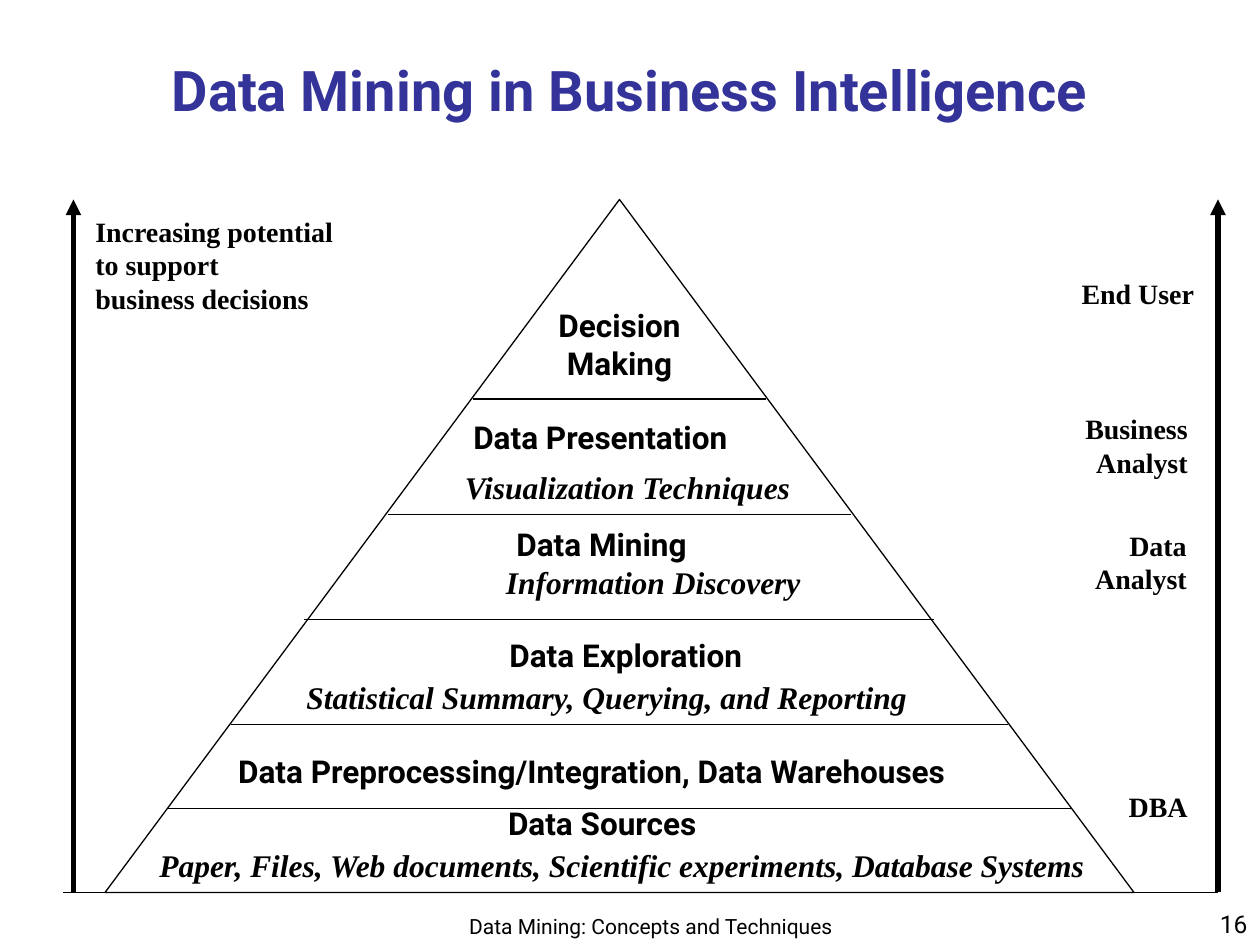
from dataclasses import dataclass

from lxml import etree
from pptx import Presentation
from pptx.dml.color import RGBColor
from pptx.enum.shapes import MSO_CONNECTOR, MSO_SHAPE
from pptx.enum.text import MSO_ANCHOR, MSO_AUTO_SIZE, PP_ALIGN
from pptx.oxml.ns import qn
from pptx.util import Inches, Pt

LEFT, CENTER, RIGHT = PP_ALIGN.LEFT, PP_ALIGN.CENTER, PP_ALIGN.RIGHT
TOP, MIDDLE, BOTTOM = MSO_ANCHOR.TOP, MSO_ANCHOR.MIDDLE, MSO_ANCHOR.BOTTOM
STRAIGHT = MSO_CONNECTOR.STRAIGHT
TRIANGLE = MSO_SHAPE.FLOWCHART_EXTRACT

COLUMNS, ROWS = 120, 90  # twelve grid units to the inch


@dataclass(frozen=True)
class TextStyle:
    font: str
    size: float
    bold: bool = True
    italic: bool = False
    color: str = "000000"


class Theme:
    line_color = "000000"
    thin, thick = 0.75, 3
    title = TextStyle("Roboto", 32, color="333399")
    layer = TextStyle("Roboto", 18)
    detail = TextStyle("Times New Roman", 18, italic=True)
    side = TextStyle("Times New Roman", 16)
    footer = TextStyle("Roboto", 12, bold=False)
    number = TextStyle("Roboto", 14, bold=False)


class SlideBuilder:
    def __init__(self, presentation, theme):
        self.theme = theme
        self.slide = presentation.slides.add_slide(presentation.slide_layouts[6])
        self.column = presentation.slide_width / COLUMNS
        self.row = presentation.slide_height / ROWS

    def place(self, x, y):
        """Turn grid columns and rows into slide lengths."""
        return round(x * self.column), round(y * self.row)

    def draw_line(self, line, width):
        line.color.rgb = RGBColor.from_string(self.theme.line_color)
        line.width = Pt(width)

    def triangle(self, left, top, width, height):
        shape = self.slide.shapes.add_shape(
            TRIANGLE, *self.place(left, top), *self.place(width, height))
        shape.shadow.inherit = False
        shape.fill.background()
        self.draw_line(shape.line, self.theme.thin)

    def line(self, start, end, width=Theme.thin, arrow=False):
        connector = self.slide.shapes.add_connector(
            STRAIGHT, *self.place(*start), *self.place(*end))
        self.draw_line(connector.line, width)
        if arrow:
            etree.SubElement(connector.line._get_or_add_ln(), qn("a:tailEnd"),
                             type="triangle")
        etree.SubElement(connector._element.spPr, qn("a:effectLst"))

    def text(self, lines, style, left, top, width, height,
             align=LEFT, anchor=TOP, wrap=True):
        box = self.slide.shapes.add_textbox(
            *self.place(left, top), *self.place(width, height))
        frame = box.text_frame
        frame.word_wrap = wrap
        frame.vertical_anchor = anchor
        for index, line in enumerate(lines):
            paragraph = frame.paragraphs[0] if index == 0 else frame.add_paragraph()
            paragraph.alignment = align
            run = paragraph.add_run()
            run.text = line
            run.font.name = style.font
            run.font.size = Pt(style.size)
            run.font.bold = style.bold
            run.font.italic = style.italic
            run.font.color.rgb = RGBColor.from_string(style.color)
        return frame

    def label(self, lines, style, left, top, width,
              align=LEFT, wrap=False, rows_of_text=None):
        """Add a text box as tall as its rows of text."""
        height = 1.2 + 0.2 * style.size * (rows_of_text or len(lines))
        frame = self.text(lines, style, left, top, width, height, align, wrap=wrap)
        frame.auto_size = MSO_AUTO_SIZE.SHAPE_TO_FIT_TEXT


def add_pyramid(builder):
    center, apex, base, half_width = 59, 19, 85, 49
    builder.triangle(center - half_width, apex, 2 * half_width, base - apex)
    for row in (77, 69, 59, 49, 38):
        reach = round(half_width * (row - apex) / (base - apex))
        builder.line((center - reach, row), (center + reach, row))
    for column in (7, 116):
        builder.line((column, base), (column, apex), Theme.thick, arrow=True)
    builder.line((6, base), (116, base))


def add_layer_labels(builder):
    layer, detail = Theme.layer, Theme.detail
    builder.label(["Decision Making"], layer, 51, 28.6, 16, CENTER, True, rows_of_text=2)
    for text, style, left, top, width, align, wrap in (
        ("Data Presentation", layer, 43.9, 39.2, 29.8, LEFT, False),
        ("Visualization Techniques", detail, 43.1, 44, 33.8, LEFT, False),
        ("Data Mining", layer, 48, 49.4, 23.4, LEFT, True),
        ("Information Discovery", detail, 47, 53, 30.5, LEFT, False),
        ("Data Exploration", layer, 44.2, 60, 30.8, CENTER, True),
        ("Statistical Summary, Querying, and Reporting", detail, 28, 64, 60, LEFT, True),
        ("Data Preprocessing/Integration, Data Warehouses", layer, 21.5, 71, 78, LEFT, False),
        ("Data Sources", layer, 47.2, 76, 22, LEFT, False),
        ("Paper, Files, Web documents, Scientific experiments, Database Systems",
         detail, 14, 80, 93.5, LEFT, True),
    ):
        builder.label([text], style, left, top, width, align, wrap)


def add_side_labels(builder):
    builder.label(["Increasing potential", "to support", "business decisions"],
                  Theme.side, 7.9, 19.8, 25.1)
    for lines, left, top, width in (
        (["End User"], 101.8, 25.7, 13.1),
        (["Business", "Analyst"], 101.8, 38.6, 12.5),
        (["Data", "Analyst"], 103, 49.7, 11.2),
        (["DBA"], 106.3, 74.6, 8),
    ):
        builder.label(lines, Theme.side, left, top, width, RIGHT)


def main():
    presentation = Presentation()
    presentation.slide_width, presentation.slide_height = Inches(10), Inches(7.5)
    builder = SlideBuilder(presentation, Theme)
    builder.text(["Data Mining in Business Intelligence"], Theme.title,
                 3, 5, 114, 7, CENTER, MIDDLE)
    add_pyramid(builder)
    add_layer_labels(builder)
    add_side_labels(builder)
    builder.text(["Data Mining: Concepts and Techniques"], Theme.footer,
                 43, 85, 38, 5, CENTER, BOTTOM)
    builder.text(["16"], Theme.number, 95, 84, 25, 6, RIGHT, BOTTOM)
    presentation.save("out.pptx")


if __name__ == "__main__":
    main()
